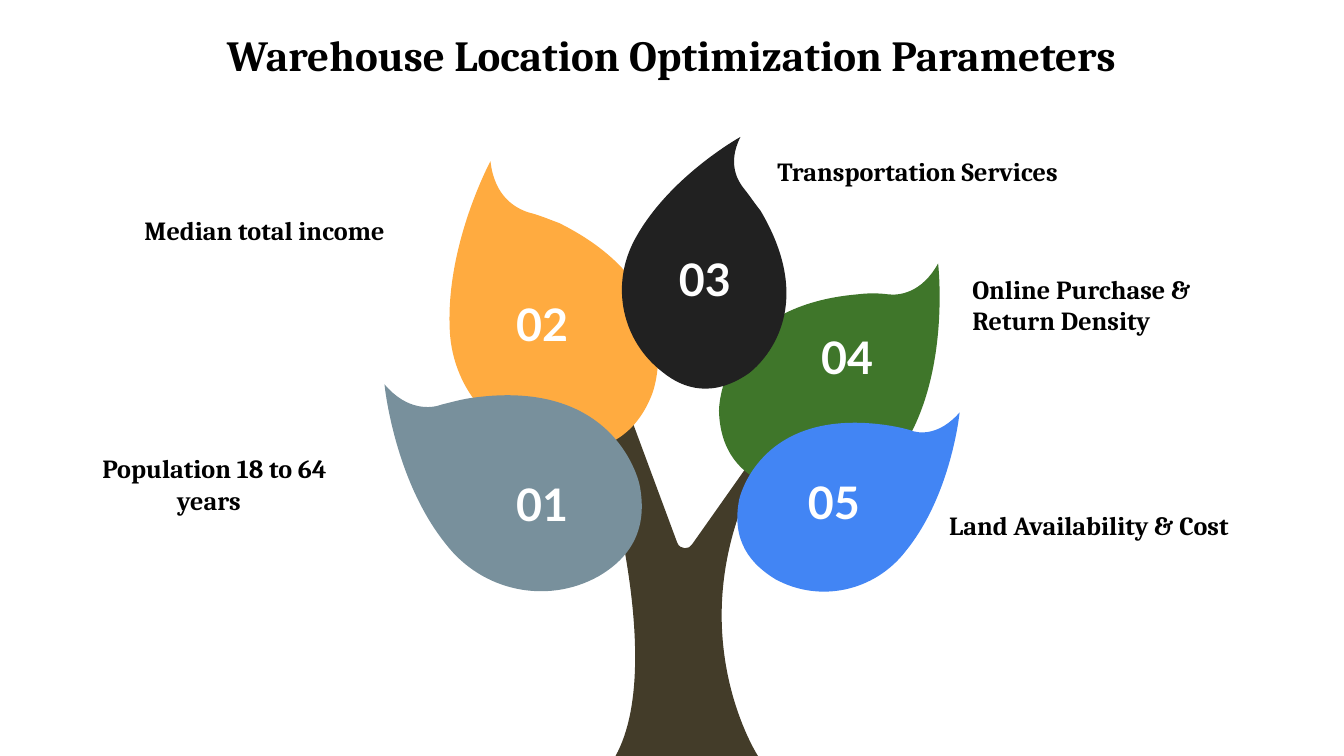
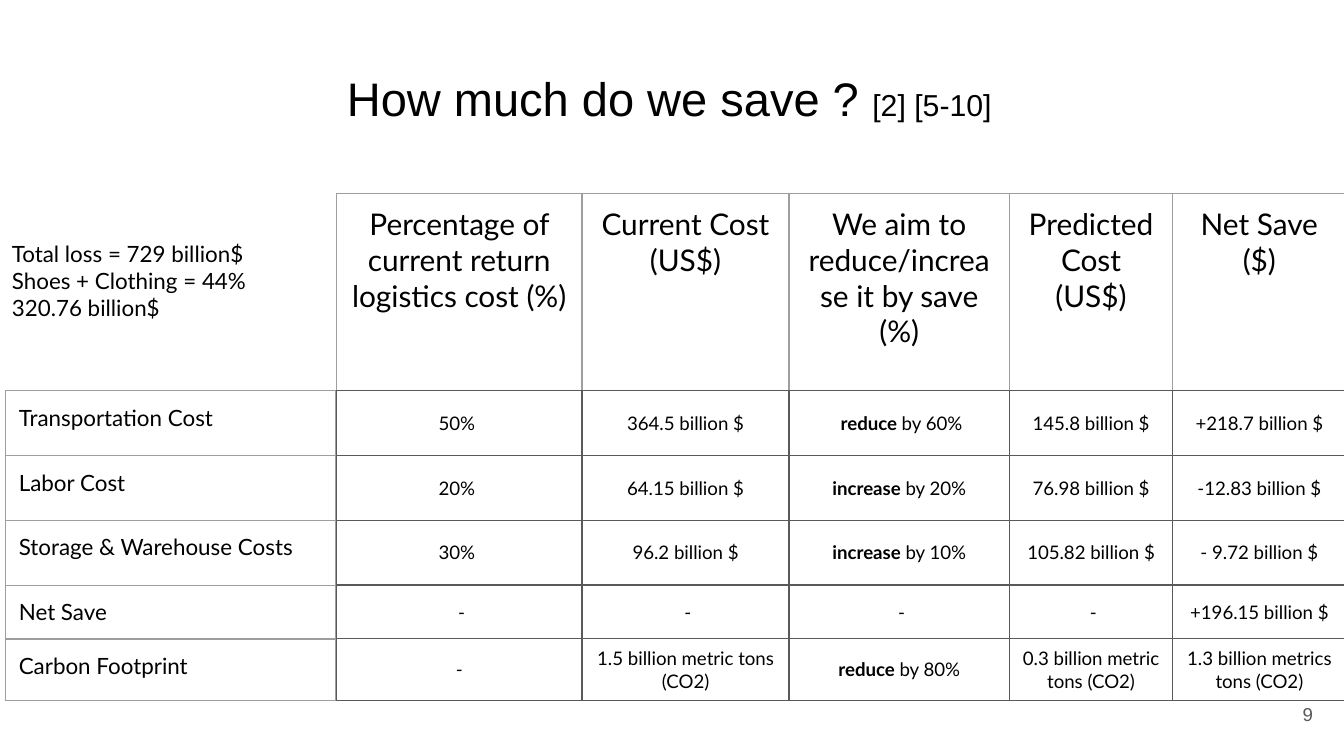
from pptx import Presentation
from pptx.dml.color import RGBColor
from pptx.enum.text import MSO_ANCHOR, PP_ALIGN
from pptx.oxml import parse_xml
from pptx.oxml.ns import nsdecls, qn
from pptx.util import Pt

COLORS = {
    "text": "000000", "white": "FFFFFF", "page number": "595959",
    "dark line": "595959", "light line": "9E9E9E", "trunk": "433C29",
    "green": "3F762A", "orange": "FFAB40", "slate": "78909C",
    "blue": "4285F4", "black": "212121",
}
SERIF, SANS, PLAIN = "Cambria", "Lato", "Arial"
LEFT, CENTER, RIGHT = PP_ALIGN.LEFT, PP_ALIGN.CENTER, PP_ALIGN.RIGHT
TITLE_ONLY = 5

TREE_BOX = (206, 73, 308, 332)
TREE_PARTS = [
    ("trunk", (123.8, 332), [
        (200.1, 332), (155.4, 263.2, 201.5, 176.1), (195.8, 174.7), (164.8, 218.6),
        (163.4, 221.5, 158.3, 221.5, 156.9, 217.9), (133.1, 153.8), (113, 157.4),
        (152.6, 279.8, 123.8, 332)]),
    ("green", (179.2, 147.3), [
        (178.5, 91.2, 253.4, 84.7), (259.1, 84, 264.2, 84, 269.9, 84.7),
        (275.7, 85.4, 287.9, 84, 296.6, 68.1), (302.3, 117.1, 283.6, 156),
        (270.6, 182.6, 239.7, 197, 210.9, 188.4), (195, 184, 179.9, 172.5, 179.2, 147.3)]),
    ("orange", (143.2, 138.7), [
        (166.2, 82.5, 93.5, 46.5), (87.8, 44.4, 82.7, 42.2, 77, 40.8),
        (70.5, 38.6, 59, 32.8, 56.8, 13.4), (31.6, 60.2, 35.2, 107),
        (38.1, 139.4, 63.3, 165.3, 96.4, 168.2), (113.7, 169.6, 133.1, 163.9, 143.2, 138.7)]),
    ("slate", (136.7, 186.9), [
        (125.2, 129.3, 47.4, 140.1), (41.7, 140.8, 36.6, 142.3, 30.9, 143.7),
        (25.1, 145.9, 12.2, 147.3, 0, 132.9), (5, 184, 33, 218.6),
        (52.5, 243.8, 87, 251, 114.4, 235.9), (129.5, 227.2, 141.8, 212.8, 136.7, 186.9)]),
    ("blue", (190, 194.8), [
        (200.1, 145.9, 267, 154.5), (272.1, 155.2, 276.4, 156, 281.4, 157.4),
        (286.5, 159.6, 297.3, 160.3, 308.1, 148), (303.8, 192, 279.3, 222.2),
        (262.7, 243.8, 233.2, 250.3, 209.4, 237.3), (196.5, 229.4, 185.7, 217.2, 190, 194.8)]),
    ("black", (195, 127.2), [
        (236.1, 98.4, 201.5, 40), (198.6, 36.4, 195.8, 32.1, 192.9, 28.5),
        (189.3, 24.2, 183.5, 14.8, 190.7, 0.4), (151.8, 22, 133.8, 55.9),
        (120.9, 80.4, 127.4, 109.9, 149, 126.4), (160.5, 135.8, 176.3, 140.1, 195, 127.2)]),
]
LEAF_NUMBERS = [("01", 60.4, 179.7), ("02", 60.4, 83.2), ("03", 147.5, 58.8),
                ("04", 223.8, 100.8), ("05", 216.6, 178.6)]
PARAMETERS = [
    ("Population 18 to 64 years", (31.7, 242.6, 160.6, 34), CENTER, 6),
    ("Median total income", (77.4, 114.8, 175.3, 17.3), LEFT, 0),
    ("Transportation Services", (416.5, 83.1, 174.2, 35.3), LEFT, 0),
    ("Online Purchase & Return Density", (520.9, 146.2, 160.6, 52.6), LEFT, 0),
    ("Land Availability & Cost", (508.5, 272.9, 176.4, 17.3), LEFT, 0),
]

SAVINGS_BOX = (180.3, 103.5, 540, 272)
HEADER_HEIGHT = 105.9
ROW_HEIGHTS = [34.7, 34.7, 34.7, 28.8, 33.1]
COST_ITEMS = ["Transportation Cost", "Labor Cost", "Storage & Warehouse Costs",
              "Net Save", "Carbon Footprint"]
SAVINGS_COLUMNS = [
    (131.5, "Percentage of current return logistics cost (%)",
     ["50% ", "20% ", "30% ", " -", "-"]),
    (110.9, "Current Cost\n(US$)",
     ["364.5 billion $", "64.15 billion $", "96.2 billion $", " -",
      "1.5 billion metric tons (CO2)"]),
    (118.1, "We aim to reduce/increase it by save\n(%)",
     [(" reduce", " by 60%"), ("increase", " by 20%"), ("increase", " by 10%"), " -",
      ("reduce", " by 80%")]),
    (87.4, "Predicted Cost\n(US$)",
     ["145.8 billion $", "76.98 billion $", "105.82 billion $", " -",
      "0.3 billion metric tons (CO2)"]),
    (92.9, "Net Save\n($)",
     ["+218.7 billion $", "-12.83 billion $", "- 9.72 billion $", "+196.15 billion $",
      "1.3 billion metrics tons (CO2)"]),
]


def color(name):
    """Return the named colour."""
    return RGBColor.from_string(COLORS[name])


def write(frame, text, size, font, align=LEFT, ink="text", bold=False, indent=0):
    """Write lines of text; a (strong, plain) pair gives one line with a bold start."""
    lines = [text] if isinstance(text, tuple) else [(line,) for line in text.split("\n")]
    for index, pieces in enumerate(lines):
        para = frame.add_paragraph() if index else frame.paragraphs[0]
        para.alignment = align
        para.space_before = Pt(0)
        if indent:
            para._p.get_or_add_pPr().set("indent", str(Pt(indent)))
        para.font.size, para.font.name, para.font.bold = Pt(size), font, bold
        para.font.color.rgb = color(ink)
        for piece in pieces:
            para.add_run().text = piece
        if len(pieces) > 1:
            para.runs[0].font.bold = True


def set_margins(target, across, down):
    """Set equal side margins and equal top and bottom margins."""
    target.margin_left = target.margin_right = Pt(across)
    target.margin_top = target.margin_bottom = Pt(down)


def add_text(page, box, text, size, font, margins=(0, 0), anchor=MSO_ANCHOR.TOP, **style):
    """Add a wrapping text box."""
    frame = page.shapes.add_textbox(*map(Pt, box)).text_frame
    frame.word_wrap = True
    frame.vertical_anchor = anchor
    set_margins(frame, *margins)
    write(frame, text, size, font, **style)


def add_page(deck, box, title, size, font, margins, **style):
    """Add a title-only page with its title placed and formatted."""
    page = deck.slides.add_slide(deck.slide_layouts[TITLE_ONLY])
    holder = page.shapes.title
    holder.left, holder.top, holder.width, holder.height = map(Pt, box)
    frame = holder.text_frame
    frame.word_wrap = True
    frame.vertical_anchor = MSO_ANCHOR.TOP
    set_margins(frame, *margins)
    write(frame, title, size, font, **style)
    return page


def add_outline(shapes, left, top, start, segments):
    """Draw a closed outline: 2 numbers give a line, 4 or 6 a cubic curve."""
    points, counts = [start], []
    for segment in segments:
        numbers = points[-1] + segment if len(segment) == 4 else segment
        points += zip(numbers[::2], numbers[1::2])
        counts.append(len(numbers) // 2)
    places = [(Pt(left + x), Pt(top + y)) for x, y in points]
    builder = shapes.build_freeform(*places[0])
    builder.add_line_segments(places[1:], close=True)
    outline = builder.convert_to_shape()
    steps = iter(list(outline._element.iter(qn("a:lnTo"))))
    for count in counts:
        group = [next(steps) for _ in range(count)]
        if count == 3:
            curve = parse_xml(f'<a:cubicBezTo {nsdecls("a")}/>')
            group[0].addprevious(curve)
            for step in group:
                curve.append(step[0])
                step.getparent().remove(step)
    return outline


def add_tree(page, box):
    """Draw the trunk and the numbered leaves."""
    left, top = box[:2]
    tree = page.shapes.add_group_shape()
    for name, start, segments in TREE_PARTS:
        part = add_outline(tree.shapes, left, top, start, segments)
        part.shadow.inherit = False
        part.fill.solid()
        part.fill.fore_color.rgb = color(name)
        part.line.fill.background()
    for number, x, y in LEAF_NUMBERS:
        add_text(page, (left + x, top + y, 48.2, 34.6), number, 24, SANS, (5, 2.9),
                 align=CENTER, ink="white", bold=True)


def set_borders(cell, names):
    """Draw the left, right, top and bottom borders in the named colours."""
    for side, name in zip("LRTB", names):
        cell._tc.get_or_add_tcPr().append(parse_xml(
            f'<a:ln{side} {nsdecls("a")} w="{Pt(0.75)}"><a:solidFill>'
            f'<a:srgbClr val="{COLORS[name]}"/></a:solidFill></a:ln{side}>'))


def add_column(page, left, top, width, entries):
    """Add a one-column table from (height, text, size, align, margin, anchor, borders)."""
    height = sum(entry[0] for entry in entries)
    table = page.shapes.add_table(len(entries), 1, *map(Pt, (left, top, width, height))).table
    table.first_row = table.horz_banding = False
    table.columns[0].width = Pt(width)
    for index, (height, text, size, align, margin, anchor, borders) in enumerate(entries):
        table.rows[index].height = Pt(height)
        cell = table.cell(index, 0)
        set_margins(cell, margin, margin)
        cell.vertical_anchor = anchor
        set_borders(cell, borders)
        cell.fill.background()
        write(cell.text_frame, text, size, SANS, align)


def add_savings(page, box):
    """Add the cost items and the columns of figures beside them."""
    left, top = box[:2]
    light, dark = ["light line"] * 4, ["dark line"] * 4
    items = [(height, item, 12, LEFT, 7.2, MSO_ANCHOR.TOP, light)
             for height, item in zip(ROW_HEIGHTS, COST_ITEMS)]
    add_column(page, left - 177.4, top + HEADER_HEIGHT, 177.1, items)
    for width, header, values in SAVINGS_COLUMNS:
        entries = [(HEADER_HEIGHT, header, 16, CENTER, 7.2, MSO_ANCHOR.TOP,
                    light[:3] + dark[:1])]
        entries += [(height, value, 10, CENTER, 0, MSO_ANCHOR.MIDDLE, dark)
                    for height, value in zip(ROW_HEIGHTS, values)]
        add_column(page, left, top, width, entries)
        left += width


def build_parameters(deck):
    """Build the page of warehouse location parameters."""
    page = add_page(deck, (0, 12.2, 720, 33.1), "Warehouse Location Optimization Parameters",
                    23, SERIF, (5, 2.9), align=CENTER, bold=True)
    add_tree(page, TREE_BOX)
    for text, box, align, indent in PARAMETERS:
        add_text(page, box, text, 14, SERIF, align=align, bold=True, indent=indent)


def build_savings(deck):
    """Build the page of savings."""
    page = add_page(deck, (178.6, 30.2, 607, 45.4), ("How much do we save ? ", "[2] [5-10]"),
                    25.2, PLAIN, (7.2, 7.2))
    question, sources = page.shapes.title.text_frame.paragraphs[0].runs
    question.font.bold = False
    sources.font.size = Pt(16.2)
    add_text(page, (667.2, 367.2, 43.2, 31), "9", 10, PLAIN, (7.2, 7.2), MSO_ANCHOR.MIDDLE,
             align=RIGHT, ink="page number")
    add_text(page, (-0.7, 121.7, 224.6, 69.8),
             "Total loss = 729 billion$\nShoes + Clothing = 44%\n320.76 billion$",
             12, SANS, (7.2, 7.2))
    add_savings(page, SAVINGS_BOX)


def main():
    """Build and save the deck."""
    deck = Presentation()
    deck.slide_width, deck.slide_height = Pt(720), Pt(405)
    build_parameters(deck)
    build_savings(deck)
    deck.save("out.pptx")


if __name__ == "__main__":
    main()
